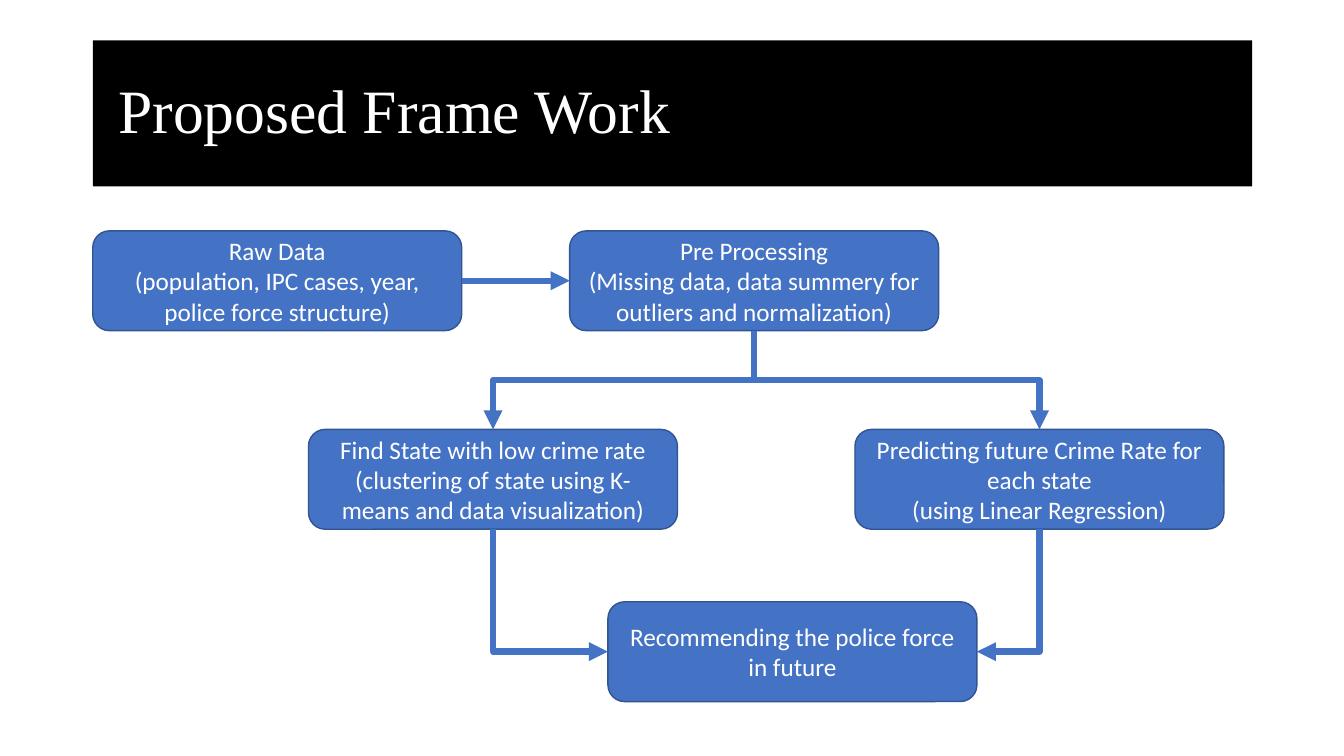
from dataclasses import dataclass

from lxml import etree
from pptx import Presentation
from pptx.dml.color import RGBColor
from pptx.enum.shapes import MSO_CONNECTOR, MSO_SHAPE
from pptx.enum.text import MSO_ANCHOR, MSO_AUTO_SIZE, PP_ALIGN
from pptx.oxml.ns import qn
from pptx.util import Inches, Pt

ROUND = MSO_SHAPE.ROUNDED_RECTANGLE
STRAIGHT, ELBOW = MSO_CONNECTOR.STRAIGHT, MSO_CONNECTOR.ELBOW
MIDDLE = MSO_ANCHOR.MIDDLE
LEFT, CENTER = PP_ALIGN.LEFT, PP_ALIGN.CENTER
FIXED = MSO_AUTO_SIZE.NONE
ON_TOP, ON_LEFT, ON_BASE, ON_RIGHT = range(4)
BOX_W, BOX_H = Inches(3.66), Inches(0.99)


@dataclass(frozen=True)
class Theme:
    """Colours, fonts and type sizes of the slide."""
    black: RGBColor = RGBColor(0, 0, 0)
    white: RGBColor = RGBColor(255, 255, 255)
    blue: RGBColor = RGBColor(0x44, 0x72, 0xC4)
    edge: RGBColor = RGBColor(0x32, 0x54, 0x91)
    head: str = "Times New Roman"
    body: str = "Calibri"
    head_size: int = Pt(44)
    body_size: int = Pt(18)
    edge_width: int = Pt(1)
    arrow_width: int = Pt(4.5)


THEME = Theme()

STEPS = {
    "raw": (0.92, 2.29, "Raw Data\n(population, IPC cases, year, police force structure)"),
    "prep": (5.65, 2.29, "Pre Processing\n"
             "(Missing data, data summery for outliers and normalization)"),
    "find": (3.06, 4.26, "Find State with low crime rate\n"
             "(clustering of state using K-means and data visualization)"),
    "predict": (8.48, 4.26, "Predicting future Crime Rate for each state\n"
                "(using Linear Regression)"),
    "advise": (6.03, 5.97, "Recommending the police force in future"),
}

BENDS = (
    ("prep", "find", ON_TOP, "bentConnector3"),
    ("prep", "predict", ON_TOP, "bentConnector3"),
    ("find", "advise", ON_LEFT, "bentConnector2"),
    ("predict", "advise", ON_RIGHT, "bentConnector2"),
)


def set_all(item, values):
    """Set each named attribute of an object."""
    for name, value in values.items():
        setattr(item, name, value)


def paint(shape, color):
    """Fill a shape with one colour."""
    shape.fill.solid()
    shape.fill.fore_color.rgb = color


def write(shape, text, font, size, align):
    """Put white text in a shape, one paragraph a line."""
    frame = shape.text_frame
    set_all(frame, {"text": text, "word_wrap": True, "auto_size": FIXED,
                    "vertical_anchor": MIDDLE})
    for para in frame.paragraphs:
        para.alignment = align
        for run in para.runs:
            set_all(run.font, {"name": font, "size": size})
            run.font.color.rgb = THEME.white


def add_title(slide):
    """Format the title placeholder as a black band."""
    title = slide.shapes.title
    set_all(title, {"left": Inches(0.92), "top": Inches(0.4),
                    "width": Inches(11.5), "height": Inches(1.45)})
    paint(title, THEME.black)
    write(title, " Proposed Frame Work", THEME.head, THEME.head_size, LEFT)
    title.text_frame.paragraphs[0].line_spacing = 0.9


def add_step(slide, left, top, text):
    """Add a rounded box for one step of the flow."""
    box = slide.shapes.add_shape(ROUND, Inches(left), Inches(top), BOX_W, BOX_H)
    box.shadow.inherit = False
    paint(box, THEME.blue)
    box.line.color.rgb = THEME.edge
    box.line.width = THEME.edge_width
    write(box, text, THEME.body, THEME.body_size, CENTER)
    return box


def add_arrow(slide, kind, start, start_side, end, end_side):
    """Join two boxes with a thick arrow."""
    arrow = slide.shapes.add_connector(kind, 0, 0, 0, 0)
    arrow.begin_connect(start, start_side)
    arrow.end_connect(end, end_side)
    arrow.line.color.rgb = THEME.blue
    arrow.line.width = THEME.arrow_width
    line = arrow.line._get_or_add_ln()
    etree.SubElement(line, qn("a:tailEnd"), type="triangle")
    etree.SubElement(arrow._element.spPr, qn("a:effectLst"))
    return arrow


def add_bend(slide, start, end, side, preset):
    """Add an elbow arrow that leaves a box downward."""
    arrow = add_arrow(slide, ELBOW, start, ON_BASE, end, side)
    across = arrow.end_x - arrow.begin_x
    down = arrow.end_y - arrow.begin_y
    mid_x = (arrow.begin_x + arrow.end_x) // 2
    mid_y = (arrow.begin_y + arrow.end_y) // 2
    set_all(arrow, {"left": mid_x - down // 2, "top": mid_y - abs(across) // 2,
                    "width": down, "height": abs(across)})
    frame = arrow._element.spPr.find(qn("a:xfrm"))
    turn, flip = (270, "1") if across > 0 else (90, "0")
    for name, value in {"rot": str(turn * 60000), "flipH": flip, "flipV": "0"}.items():
        frame.set(name, value)
    arrow._element.spPr.find(qn("a:prstGeom")).set("prst", preset)


def main():
    """Build the slide and save it."""
    deck = Presentation()
    set_all(deck, {"slide_width": Inches(13.33), "slide_height": Inches(7.5)})
    slide = deck.slides.add_slide(deck.slide_layouts[5])
    add_title(slide)
    boxes = {name: add_step(slide, *step) for name, step in STEPS.items()}
    add_arrow(slide, STRAIGHT, boxes["raw"], ON_RIGHT, boxes["prep"], ON_LEFT)
    for start, end, side, preset in BENDS:
        add_bend(slide, boxes[start], boxes[end], side, preset)
    deck.save("out.pptx")


if __name__ == "__main__":
    main()
